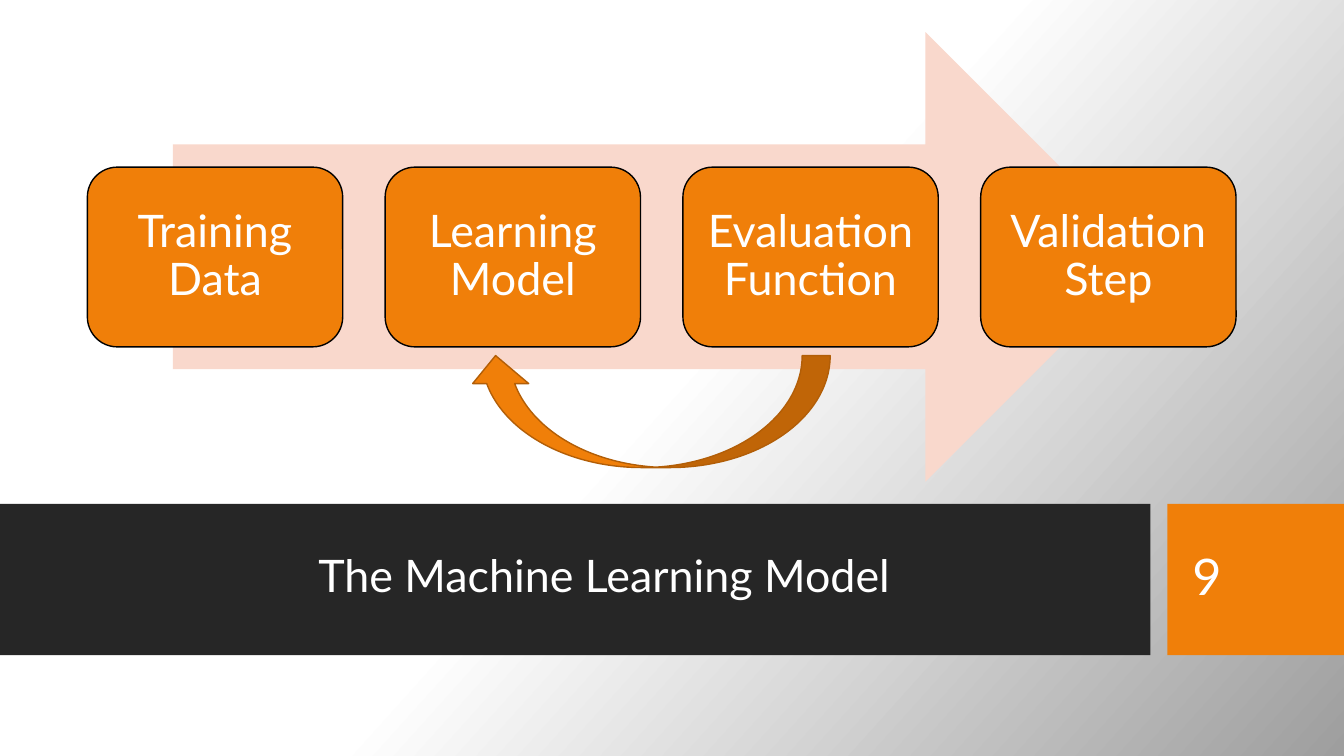
from dataclasses import dataclass
from typing import Any, Optional

from pptx import Presentation
from pptx.dml.color import RGBColor as Color
from pptx.enum.shapes import MSO_SHAPE as Preset
from pptx.enum.text import MSO_ANCHOR as Anchor, PP_ALIGN as Align
from pptx.oxml.ns import qn
from pptx.shapes.autoshape import Shape
from pptx.slide import Slide
from pptx.util import Pt


@dataclass(frozen=True)
class Theme:
    font: str = "Lato"
    text_size: float = 32
    number_size: float = 36
    white: str = "FFFFFF"
    gray: str = "9E9E9E"
    dark: str = "262626"
    orange: str = "F07F09"
    pale: str = "F9D8CC"
    brown: str = "B25E07"
    black: str = "000000"


@dataclass(frozen=True)
class Box:
    left: float
    top: float
    width: float
    height: float

    def lengths(self) -> tuple[Pt, Pt, Pt, Pt]:
        return Pt(self.left), Pt(self.top), Pt(self.width), Pt(self.height)


@dataclass(frozen=True)
class Figure:
    preset: Preset
    box: Box
    fill: str
    line: Optional[str] = None
    flipped: bool = False


@dataclass(frozen=True)
class Label:
    text: str
    size: float
    anchor: Anchor = Anchor.MIDDLE
    align: Align = Align.CENTER
    inset: float = 7.2


THEME = Theme()
SLIDE_WIDTH, SLIDE_HEIGHT = 960, 540
STEPS = ("Training Data", "Learning Model", "Evaluation Function", "Validation Step")
STEP_BOX = Box(62.4, 119.4, 182.4, 128.4)
STEP_PITCH = 212.7

BACKDROP = (
    Figure(Preset.RECTANGLE, Box(0, 360, 821.8, 108), THEME.dark),
    Figure(Preset.RECTANGLE, Box(833.8, 360, 126.2, 108), THEME.orange),
    Figure(Preset.RIGHT_ARROW, Box(123.6, 23, 698, 321), THEME.pale),
)
FEEDBACK_ARROW = Figure(
    Preset.CURVED_UP_ARROW, Box(334, 254, 259, 80), THEME.orange, THEME.brown, True
)
TEXTS = (
    (Box(53.3, 370.8, 756.7, 62.6), Label("The Machine Learning Model", THEME.text_size, Anchor.BOTTOM)),
    (Box(844.6, 370.8, 90.7, 85.7), Label("9", THEME.number_size, align=Align.LEFT)),
)


def apply_format(target: Any, values: dict[str, Any]) -> None:
    for name, value in values.items():
        setattr(target, name, value)


def paint_background(slide: Slide) -> None:
    fill = slide.background.fill
    fill.gradient()
    fill.gradient_angle = 318
    stops = ((0.5, THEME.white), (1, THEME.gray))
    for stop, (position, color) in zip(fill.gradient_stops, stops):
        stop.position = position
        stop.color.rgb = Color.from_string(color)


def draw_figure(slide: Slide, figure: Figure) -> Shape:
    shape = slide.shapes.add_shape(figure.preset, *figure.box.lengths())
    shape.shadow.inherit = False
    shape.fill.solid()
    shape.fill.fore_color.rgb = Color.from_string(figure.fill)
    if figure.line:
        shape.line.color.rgb = Color.from_string(figure.line)
        shape.line.width = Pt(1)
    else:
        shape.line.fill.background()
    if figure.flipped:
        shape.element.spPr.find(qn("a:xfrm")).set("flipH", "1")
    return shape


def write_label(shape: Shape, label: Label) -> None:
    frame = shape.text_frame
    apply_format(frame, {
        "text": label.text,
        "word_wrap": True,
        "vertical_anchor": label.anchor,
        "margin_left": Pt(label.inset),
        "margin_right": Pt(label.inset),
    })
    paragraph = frame.paragraphs[0]
    apply_format(paragraph, {"alignment": label.align, "line_spacing": 0.9})
    font = paragraph.runs[0].font
    apply_format(font, {"name": THEME.font, "size": Pt(label.size)})
    font.color.rgb = Color.from_string(THEME.white)


def draw_steps(slide: Slide) -> None:
    for index, step in enumerate(STEPS):
        left = STEP_BOX.left + index * STEP_PITCH
        box = Box(left, STEP_BOX.top, STEP_BOX.width, STEP_BOX.height)
        figure = Figure(Preset.ROUNDED_RECTANGLE, box, THEME.orange, THEME.black)
        write_label(draw_figure(slide, figure), Label(step, THEME.text_size, inset=9.4))


def main() -> None:
    presentation = Presentation()
    apply_format(presentation, {"slide_width": Pt(SLIDE_WIDTH), "slide_height": Pt(SLIDE_HEIGHT)})
    slide = presentation.slides.add_slide(presentation.slide_layouts[6])
    paint_background(slide)
    for figure in BACKDROP:
        draw_figure(slide, figure)
    for box, label in TEXTS:
        write_label(slide.shapes.add_textbox(*box.lengths()), label)
    draw_steps(slide)
    draw_figure(slide, FEEDBACK_ARROW)
    presentation.save("out.pptx")


if __name__ == "__main__":
    main()
